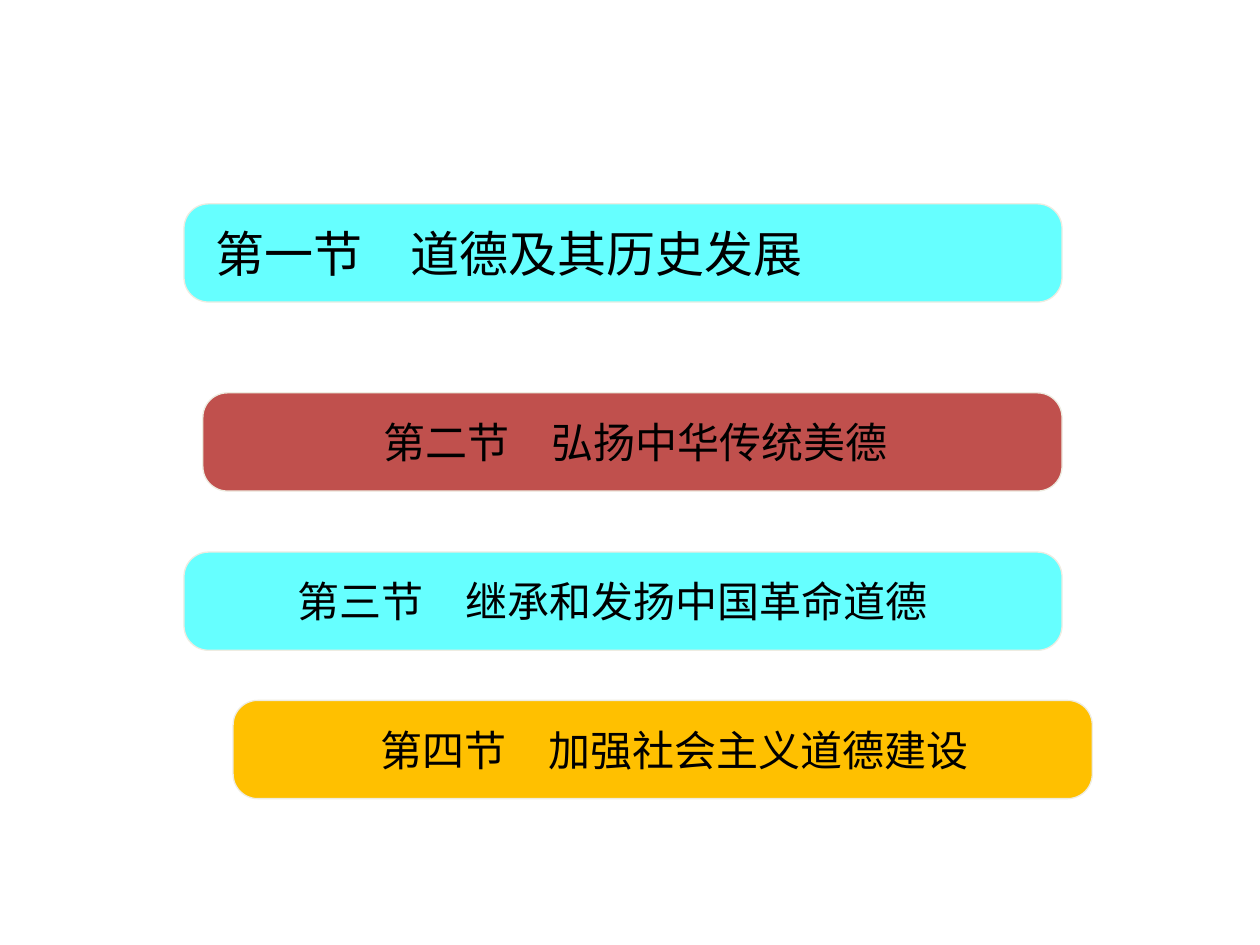
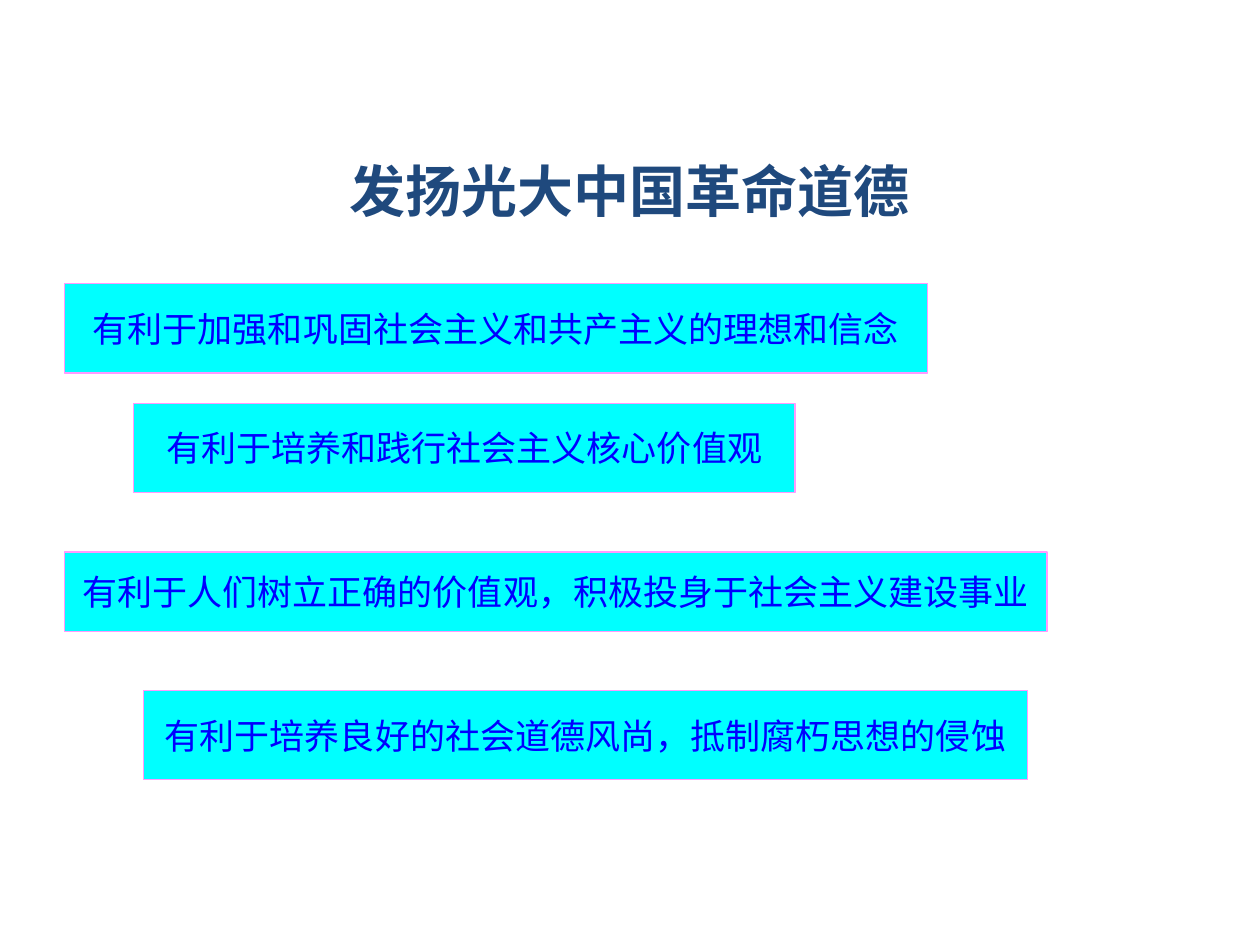
from lxml import etree
from pptx import Presentation
from pptx.dml.color import RGBColor
from pptx.enum.lang import MSO_LANGUAGE_ID
from pptx.enum.shapes import MSO_SHAPE
from pptx.enum.text import MSO_ANCHOR, PP_ALIGN
from pptx.oxml.ns import qn
from pptx.util import Cm, Pt

ROUNDED, RECT = MSO_SHAPE.ROUNDED_RECTANGLE, MSO_SHAPE.RECTANGLE
MIDDLE = MSO_ANCHOR.MIDDLE
LEFT, CENTER = PP_ALIGN.LEFT, PP_ALIGN.CENTER
CHINESE = MSO_LANGUAGE_ID.SIMPLIFIED_CHINESE

LATIN_FONT, CJK_FONT = "Arial", "Noto Sans CJK SC"
BLACK, NAVY, BLUE = "000000", "1F497D", "0000FF"
AQUA, RED, GOLD, CYAN = "66FFFF", "C0504D", "FFC000", "00FFFF"
BAR_LINE, PINK = "EEECE1", "FF99FF"


def add_box(slide, kind, place, fill, line):
    sp = slide.shapes.add_shape(kind, *[Cm(v) for v in place])
    sp.shadow.inherit = False
    sp.fill.solid()
    sp.fill.fore_color.rgb = RGBColor.from_string(fill)
    sp.line.color.rgb = RGBColor.from_string(line)
    sp.line.width = Pt(0.75)
    return sp


def write(sp, runs, size, color, align=CENTER, bold=False, wrap=True):
    tf = sp.text_frame
    tf.word_wrap = wrap
    tf.vertical_anchor = MIDDLE
    p = tf.paragraphs[0]
    p.alignment = align
    for text in runs:
        r = p.add_run()
        r.text = text
        r.font.size = Pt(size)
        r.font.bold = bold
        r.font.color.rgb = RGBColor.from_string(color)
        r.font.name = LATIN_FONT
        r.font.language_id = CHINESE
        ea = etree.SubElement(r._r.get_or_add_rPr(), qn("a:ea"))
        ea.set("typeface", CJK_FONT)


prs = Presentation()
prs.slide_width, prs.slide_height = Cm(25.4), Cm(19.05)
title_only, blank = prs.slide_layouts[5], prs.slide_layouts[6]

# Slide 1: the four sections of the chapter
s = prs.slides.add_slide(blank)
BAR_HEIGHT, LABEL_HEIGHT = 1.98, 1.58
label_inset = (BAR_HEIGHT - LABEL_HEIGHT) / 2
# bar left, top, width, fill; label left, width, size, alignment, runs
sections = [
    (3.71, 4.11, 17.7, AQUA, 4.09, 16.92, 28, LEFT, ["第一节　", "道德及其历史发展"]),
    (4.09, 7.92, 17.32, RED, 3.51, 18.59, 24, CENTER, ["第二节　弘扬中华传统美德"]),
    (3.71, 11.13, 17.7, AQUA, 3.89, 16.92, 24, CENTER, ["第三节　继承和发扬中国革命道德"]),
    (4.7, 14.12, 17.32, GOLD, 5.69, 15.8, 24, CENTER, ["第四节　加强社会主义道德建设"]),
]
for left, top, width, fill, label_left, label_width, size, align, runs in sections:
    bar = add_box(s, ROUNDED, (left, top, width, BAR_HEIGHT), fill, BAR_LINE)
    bar.adjustments[0] = 0.25
    label = s.shapes.add_textbox(Cm(label_left), Cm(top + label_inset),
                                 Cm(label_width), Cm(LABEL_HEIGHT))
    write(label, runs, size, BLACK, align)

# Slide 2: why revolutionary morality matters
s = prs.slides.add_slide(title_only)
title = s.shapes.title
title.left, title.top, title.width, title.height = Cm(1.27), Cm(2.54), Cm(22.86), Cm(2.59)
write(title, ["发扬光大中国革命道德"], 32, NAVY, bold=True)

benefits = [
    ((1.3, 5.72, 17.4, 1.8), "有利于加强和巩固社会主义和共产主义的理想和信念"),
    ((2.69, 8.13, 13.34, 1.8), "有利于培养和践行社会主义核心价值观"),
    ((1.3, 11.13, 19.81, 1.6), "有利于人们树立正确的价值观，积极投身于社会主义建设事业"),
    ((2.9, 13.92, 17.81, 1.8), "有利于培养良好的社会道德风尚，抵制腐朽思想的侵蚀"),
]
for place, text in benefits:
    box = add_box(s, RECT, place, CYAN, PINK)
    write(box, [text], 20, BLUE, wrap=False)

prs.save("out.pptx")
